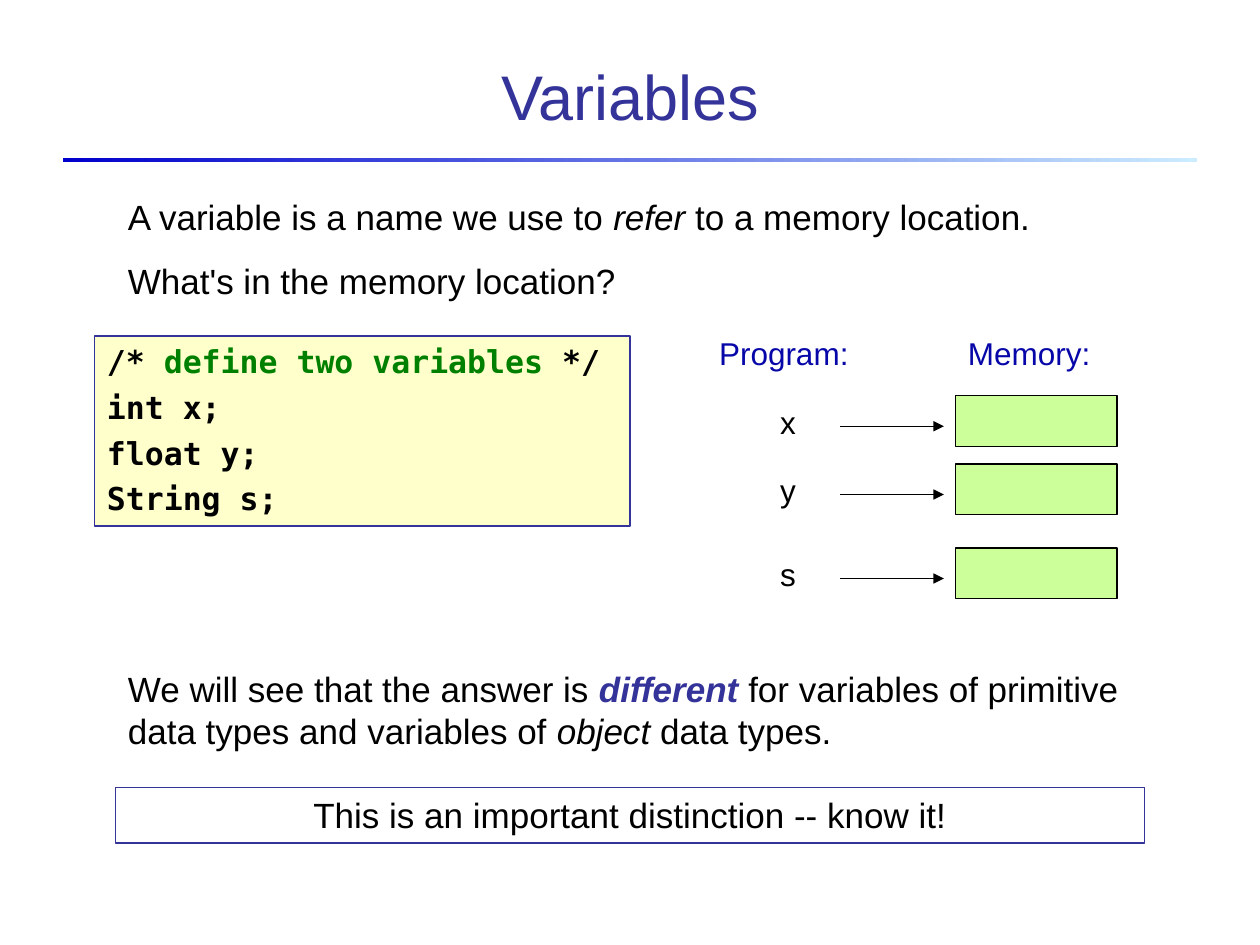
"""Build the slide on variables and memory, on a grid of 120 columns by 90 rows."""
from lxml.etree import SubElement
from pptx import Presentation
from pptx.dml.color import RGBColor
from pptx.enum.shapes import MSO_CONNECTOR as Link, MSO_SHAPE as Kind
from pptx.enum.text import MSO_ANCHOR as Anchor, PP_ALIGN as Align
from pptx.oxml.ns import qn
from pptx.util import Inches, Pt

BLACK = RGBColor(0x00, 0x00, 0x00)
NAVY = RGBColor(0x33, 0x33, 0x99)
BLUE = RGBColor(0x07, 0x07, 0xA9)
GREEN = RGBColor(0x00, 0x80, 0x00)
CREAM = RGBColor(0xFF, 0xFF, 0xCC)
LIME = RGBColor(0xCC, 0xFF, 0x99)
DEEP = RGBColor(0x00, 0x00, 0xCC)
PALE = RGBColor(0xCC, 0xEC, 0xFF)
SANS, MONO = "Arial", "DejaVu Sans Mono"

deck = Presentation()
deck.slide_width, deck.slide_height = Inches(10), Inches(7.5)
slide = deck.slides.add_slide(deck.slide_layouts[6])
shapes = slide.shapes
cell = deck.slide_width / 120


def block(col, row, wide, high, fill=None, line=None):
    """Add a plain rectangle placed on the grid."""
    box = shapes.add_shape(Kind.RECTANGLE, *(round(n * cell) for n in (col, row, wide, high)))
    box.shadow.inherit = False
    if fill:
        box.fill.solid()
        box.fill.fore_color.rgb = fill
    else:
        box.fill.background()
    if line:
        box.line.color.rgb = line
        box.line.width = Pt(0.75)
    else:
        box.line.fill.background()
    return box


def write(box, paras, size, color=BLACK, face=SANS, gap=0, align=Align.LEFT, mid=False):
    """Fill a box with paragraphs of (text, style, colour) runs."""
    frame = box.text_frame
    frame.word_wrap = True
    frame.vertical_anchor = Anchor.MIDDLE if mid else Anchor.TOP
    for i, runs in enumerate(paras):
        para = frame.add_paragraph() if i else frame.paragraphs[0]
        para.alignment = align
        para.space_before = Pt(gap if i else 0)
        for text, style, tint in runs:
            run = para.add_run()
            run.text = text
            font = run.font
            font.name, font.size = face, Pt(size)
            font.bold, font.italic = "b" in style, "i" in style
            font.color.rgb = tint or color


def place(col, row, wide, high):
    return shapes.add_textbox(*(round(n * cell) for n in (col, row, wide, high)))


rule = block(6, 15, 108, 0.4)
rule.fill.gradient()
rule.fill.gradient_angle = 0
for stop, tint in zip(rule.fill.gradient_stops, (DEEP, PALE)):
    stop.color.rgb = tint

write(place(8, 3.4, 104, 11.4), [[("Variables", "", None)]], 36, NAVY, align=Align.CENTER, mid=True)

write(place(11, 18, 98, 11.3), [
    [("A variable is a name we use to ", "", None), ("refer", "i", None),
     (" to a memory location.", "", None)],
    [("What's in the memory location?", "", None)],
], 20, gap=12.5)

write(block(9, 32, 51, 18.1, CREAM, NAVY), [
    [("/* ", "b", None), ("define two variables", "b", GREEN), (" */", "b", None)],
    [("int x;", "b", None)],
    [("float y;", "b", None)],
    [("String s;", "b", None)],
], 18, face=MONO, gap=4.5)

for head, col in (("Program:", 67.3), ("Memory:", 91)):
    write(place(col, 31.2, 15.3, 4.8), [[(head, "", None)]], 18, BLUE)

for name, row in (("x", 37.7), ("y", 44.2), ("s", 52.2)):
    block(91, row, 15.4, 4.8, LIME, BLACK)
    write(place(72.7, row + 0.1, 4.7, 4.8), [[(name, "", None)]], 18, align=Align.CENTER)
    ends = (80, row + 2.9, 89.9, row + 2.9)
    arrow = shapes.add_connector(Link.STRAIGHT, *(round(n * cell) for n in ends))
    arrow.line.color.rgb = BLACK
    arrow.line.width = Pt(0.75)
    SubElement(arrow.line._get_or_add_ln(), qn("a:tailEnd"), type="triangle")
    SubElement(arrow._element.spPr, qn("a:effectLst"))

write(place(11, 63, 98, 9.2), [[
    ("We will see that the answer is ", "", None), ("different", "bi", NAVY),
    (" for variables of primitive data types and variables of ", "", None),
    ("object", "i", None), (" data types.", "", None),
]], 20)

write(block(11, 75, 98, 5.3, line=NAVY),
      [[("This is an important distinction -- know it!", "", None)]], 20, align=Align.CENTER)

deck.save("out.pptx")
